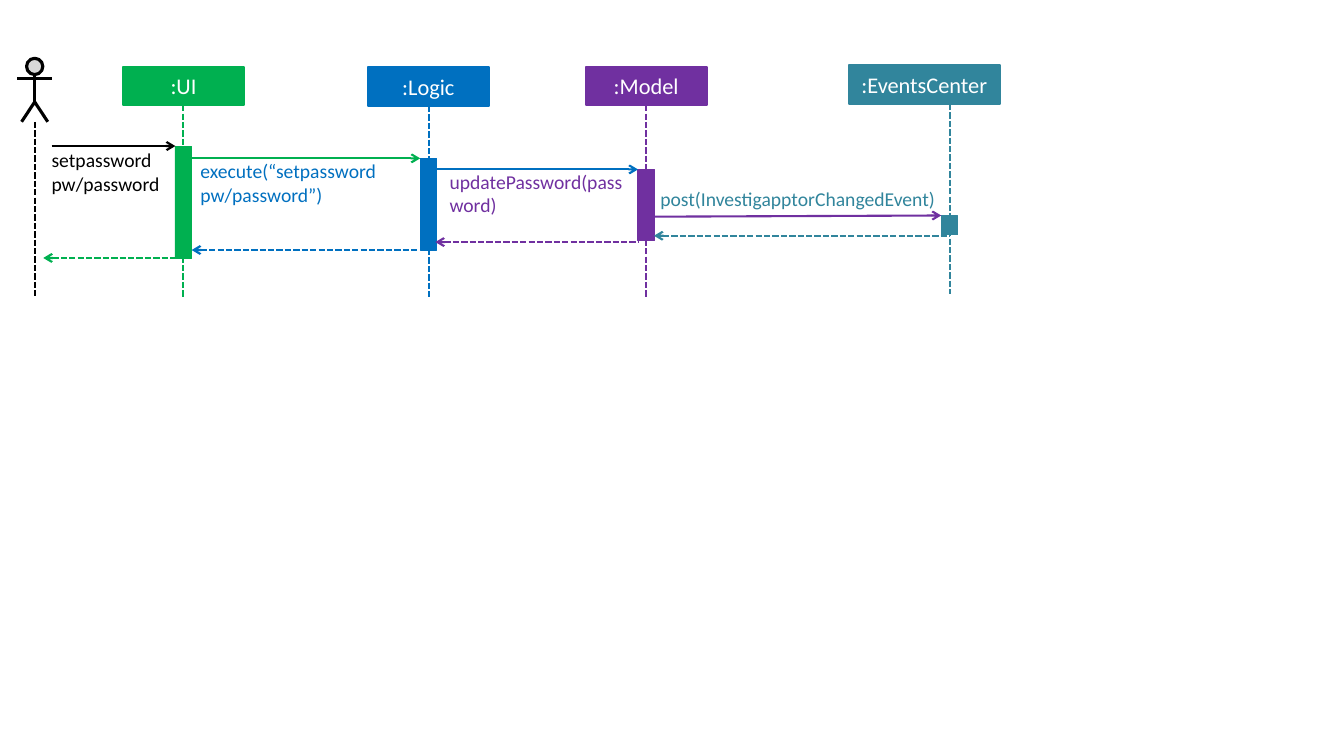
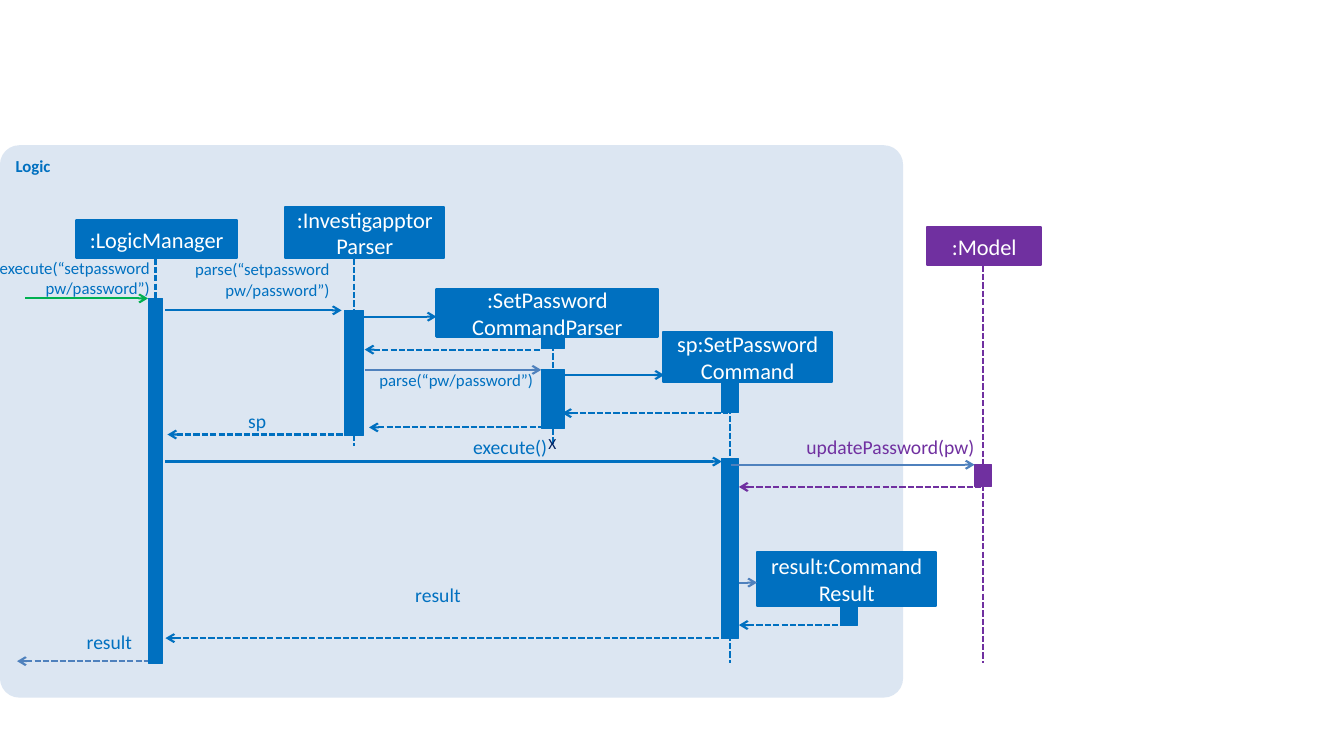
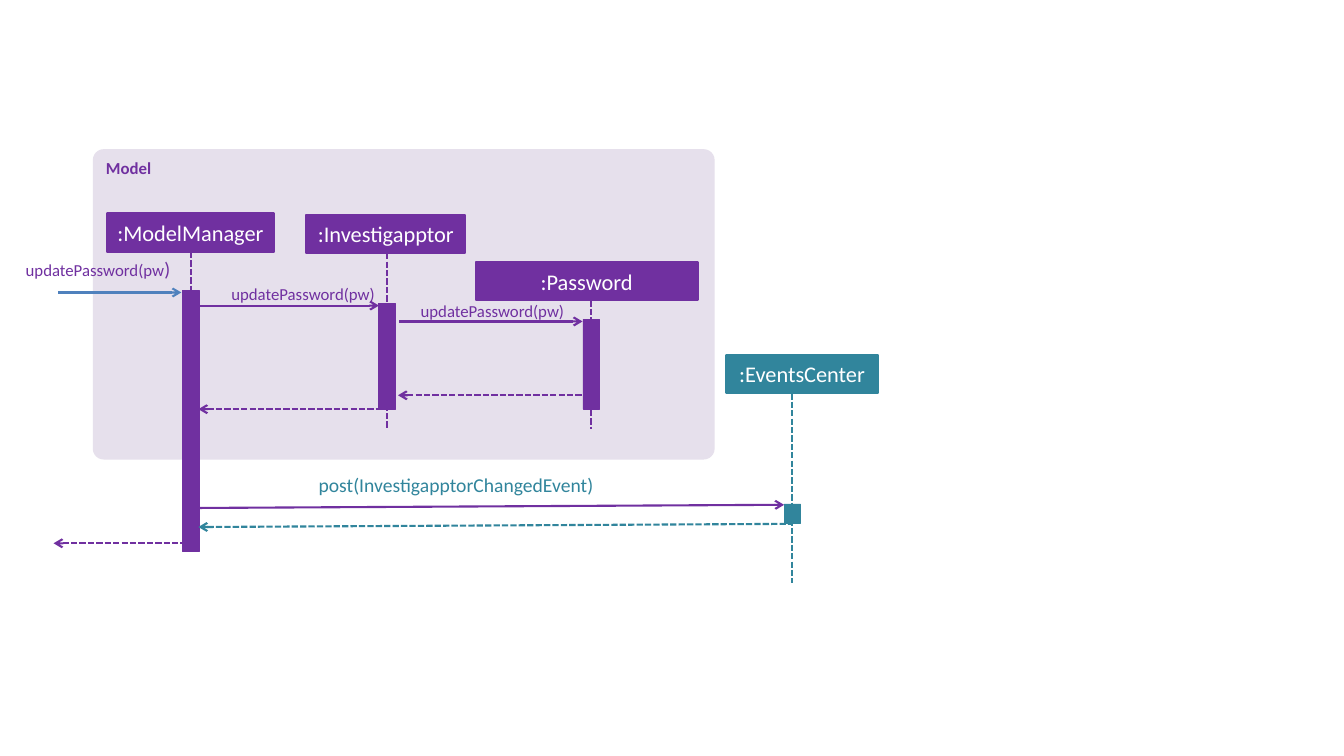
import collections
import pptx
import pptx.dml.color
import pptx.enum.dml
import pptx.enum.shapes
import pptx.enum.text
import pptx.oxml
import pptx.oxml.ns
import pptx.util

Cm = pptx.util.Cm
Pt = pptx.util.Pt
SHAPE = pptx.enum.shapes.MSO_SHAPE
ALIGN = pptx.enum.text.PP_ALIGN
ANCHOR = pptx.enum.text.MSO_ANCHOR

# All boxes are in centimetres
Box = collections.namedtuple("Box", "left top width height")


class Theme:
    font = "Calibri"
    black, white, grey = "000000", "FFFFFF", "D9D9D9"
    ui, logic, model, events = "00B050", "0070C0", "7030A0", "31859C"
    steel, navy = "4F81BD", "002060"
    logic_panel, model_panel = "DCE6F2", "E6E0EC"
    head_size, label_size, small_size, mark_size = 16, 14, 12, 11
    line, bar_line, figure_line = 1.5, 0.5, 2.25
    head_height, bar_width = 0.97, 0.42


def rgb(color):
    return pptx.dml.color.RGBColor.from_string(color)


# Basic parts
def write(frame, lines, size, color, align, bold=False):
    frame.text = lines
    for para in frame.paragraphs:
        para.alignment = align
        para.font.name = Theme.font
        para.font.size = Pt(size)
        para.font.bold = bold
        para.font.color.rgb = rgb(color)


def block(shapes, box, color, kind=SHAPE.RECTANGLE, border=None, width=None):
    shape = shapes.add_shape(kind, *map(Cm, box))
    shape.shadow.inherit = False
    shape.fill.solid()
    shape.fill.fore_color.rgb = rgb(color)
    if width:
        shape.line.color.rgb = rgb(border or color)
        shape.line.width = Pt(width)
    else:
        shape.line.fill.background()
    return shape


def stroke(shapes, start, end, color, width=Theme.line, dashed=False, arrow=None):
    """Draw a line; arrow is None, "headEnd" or "tailEnd"."""
    line = shapes.add_connector(
        pptx.enum.shapes.MSO_CONNECTOR.STRAIGHT, *map(Cm, start + end))
    line.line.color.rgb = rgb(color)
    line.line.width = Pt(width)
    if dashed:
        line.line.dash_style = pptx.enum.dml.MSO_LINE.SQUARE_DOT
    if arrow:
        outline = line.line._get_or_add_ln()
        tip = pptx.oxml.parse_xml(
            f'<a:{arrow} {pptx.oxml.ns.nsdecls("a")} type="arrow"/>')
        outline.append(tip)
    line._element.spPr.append(pptx.oxml.parse_xml(
        f'<a:effectLst {pptx.oxml.ns.nsdecls("a")}/>'))


# Sequence diagram parts
def call(page, left, right, y, color, rise=0):
    stroke(page.shapes, (left, y), (right, y - rise), color, arrow="tailEnd")


def reply(page, left, right, y, color, rise=0):
    stroke(page.shapes, (left, y), (right, y - rise), color,
           dashed=True, arrow="headEnd")


def label(page, left, top, width, text, color, size=Theme.label_size,
          align=ALIGN.RIGHT, rows=None):
    rows = rows or text.count("\n") + 1
    height = rows * size * 0.043
    frame = page.shapes.add_textbox(*map(Cm, (left, top, width, height))).text_frame
    frame.margin_left = frame.margin_right = frame.margin_top = frame.margin_bottom = 0
    frame.word_wrap = True
    frame.auto_size = pptx.enum.text.MSO_AUTO_SIZE.SHAPE_TO_FIT_TEXT
    write(frame, text, size, color, align)
    return frame


def participant(page, box, name, color, axis, end, bars, bar_width=Theme.bar_width):
    """Draw a head, its lifeline down to end, and bars of (top, height)."""
    head = block(page.shapes, box, color, width=Theme.line)
    head.text_frame.word_wrap = True
    head.text_frame.vertical_anchor = ANCHOR.MIDDLE
    write(head.text_frame, name, Theme.head_size, Theme.white, ALIGN.CENTER)
    if end:
        stroke(page.shapes, (axis, box.top + box.height), (axis, end), color,
               dashed=True)
    for top, height in bars:
        block(page.shapes, Box(axis - bar_width / 2, top, bar_width, height),
              color, width=Theme.bar_line)


def panel(page, box, name, fill, color):
    shape = block(page.shapes, box, fill, SHAPE.ROUNDED_RECTANGLE)
    shape.adjustments[0] = 0.035
    shape.text_frame.vertical_anchor = ANCHOR.TOP
    write(shape.text_frame, name, Theme.small_size, color, ALIGN.LEFT, bold=True)


def actor(page, box, end):
    figure = page.shapes.add_group_shape().shapes
    axis, foot = box.left + box.width / 2, box.top + box.height
    head, hip, spread = 0.41, box.top + 1.1, 0.33
    pen = (Theme.black, Theme.figure_line)
    block(figure, Box(axis - head / 2, box.top, head, head), Theme.grey,
          SHAPE.FLOWCHART_CONNECTOR, Theme.black, Theme.figure_line)
    stroke(figure, (axis, box.top + head), (axis, hip), *pen)
    arms = box.top + 0.51
    stroke(figure, (box.left, arms), (box.left + box.width, arms), *pen)
    # Legs
    outline = figure.build_freeform(Cm(axis - spread), Cm(foot))
    outline.add_line_segments(
        [(Cm(axis), Cm(hip)), (Cm(axis + spread), Cm(foot))], close=False)
    legs = outline.convert_to_shape()
    legs.shadow.inherit = False
    legs.fill.background()
    legs.line.color.rgb = rgb(Theme.black)
    legs.line.width = Pt(Theme.figure_line)
    stroke(page.shapes, (axis, foot), (axis, end), Theme.black, dashed=True)


# Slides
def components_slide(page):
    ui, logic, model, events = Theme.ui, Theme.logic, Theme.model, Theme.events
    end = 7.49
    actor(page, Box(0.43, 1.47, 0.89, 1.6), end)
    for left, top, width, name, color, axis, bottom, bar in (
            (3.1, 1.68, 3.05, ":UI", ui, 4.62, end, (3.68, 2.84)),
            (9.27, 1.7, 3.05, ":Logic", logic, 10.8, end, (3.99, 2.31)),
            (14.76, 1.68, 3.05, ":Model", model, 16.28, end, (4.27, 1.8)),
            (21.39, 1.65, 3.81, ":EventsCenter", events, 23.93, 7.42, (5.44, 0.48))):
        participant(page, Box(left, top, width, Theme.head_height), name, color,
                    axis, bottom, [bar])

    call(page, 1.3, 4.42, 3.68, Theme.black)
    call(page, 4.83, 10.59, 3.99, ui)
    call(page, 10.97, 16.08, 4.27, logic)
    call(page, 16.51, 23.72, 5.46, model, rise=0.03)
    reply(page, 16.48, 23.93, 5.94, events)
    reply(page, 10.97, 16.08, 6.1, model)
    reply(page, 4.83, 10.54, 6.3, logic)
    reply(page, 1.09, 4.42, 6.5, ui)

    for left, top, width, text, color, rows in (
            (1.3, 3.73, 3.1, "setpassword\npw/password", Theme.black, 2),
            (5.05, 4.01, 5.28, "execute(“setpassword\npw/password”)", logic, 2),
            (11.33, 4.27, 4.5, "updatePassword(password)", model, 2),
            (16.64, 4.7, 7.06, "post(InvestigapptorChangedEvent)", events, 1)):
        label(page, left, top, width, text, color, align=ALIGN.LEFT, rows=rows)


def logic_slide(page):
    blue, purple, steel = Theme.logic, Theme.model, Theme.steel
    small, end = Theme.small_size, 16.71
    panel(page, Box(0, 3.66, 22.76, 13.92), "Logic", Theme.logic_panel, blue)
    for box, name, color, axis, bottom, bars, bar_width in (
            (Box(1.93, 5.54, 4.04, Theme.head_height), ":LogicManager", blue,
             3.92, 13.77, [(7.52, 9.19)], 0.36),
            (Box(7.19, 5.21, 4.01, 1.3), ":InvestigapptorParser", blue,
             8.92, 11.25, [(7.82, 3.15)], 0.48),
            (Box(11, 7.29, 5.59, 1.19), ":SetPassword\nCommandParser", blue,
             13.93, 11.23, [(8.46, 0.33), (9.32, 1.47)], 0.58),
            (Box(16.71, 8.36, 4.27, 1.27), "sp:SetPasswordCommand", blue,
             18.39, end, [(9.63, 0.76), (11.56, 4.52)], Theme.bar_width),
            (Box(19.08, 13.92, 4.52, 1.35), "result:CommandResult", blue,
             21.4, None, [(15.27, 0.48)], Theme.bar_width),
            (Box(23.37, 5.72, 2.87, Theme.head_height), ":Model", purple,
             24.77, end, [(11.71, 0.56)], Theme.bar_width)):
        participant(page, box, name, color, axis, bottom, bars, bar_width)

    for left, right, y, color in (
            (0.64, 3.73, 7.52, Theme.ui), (4.17, 8.61, 7.82, blue),
            (9.07, 11, 7.98, blue), (9.19, 13.64, 9.32, steel),
            (14.17, 16.74, 9.45, blue), (4.17, 18.19, 11.63, blue),
            (18.42, 24.56, 11.71, steel), (18.62, 19.08, 14.68, steel)):
        call(page, left, right, y, color)
    for left, right, y, color in (
            (9.19, 13.64, 8.81, blue), (14.17, 18.34, 10.41, blue),
            (9.3, 13.92, 10.77, blue), (4.22, 8.66, 10.95, blue),
            (18.62, 24.77, 12.27, purple), (18.62, 21.31, 15.75, blue),
            (4.17, 18.21, 16.08, blue), (0.43, 3.73, 16.66, steel)):
        reply(page, left, right, y, color)

    for left, top, width, text in (
            (-1.5, 6.5, 5.28, "execute(“setpassword\npw/password”)"),
            (3.53, 6.53, 4.78, "parse(“setpassword\npw/password”)"),
            (9.5, 9.32, 3.94, "parse(“pw/password”)")):
        label(page, left, top, width, text, blue, small)
    for left, top, width, text, color in (
            (6.1, 10.31, 0.61, "sp", blue),
            (11.4, 10.97, 2.39, "execute()", blue),
            (20.14, 10.97, 4.42, "updatePassword(pw)", purple),
            (9.88, 14.68, 1.73, "result", blue),
            (1.22, 15.88, 2.11, "result", blue)):
        label(page, left, top, width, text, color)
    # End of the parser's life
    label(page, 13.82, 10.95, 0.3, "X", Theme.navy, Theme.mark_size, ALIGN.LEFT)


def model_slide(page):
    purple, teal, small = Theme.model, Theme.events, Theme.small_size
    end = 10.8
    panel(page, Box(2.34, 3.76, 15.67, 7.82), "Model", Theme.model_panel, purple)
    for left, top, width, name, color, axis, bottom, bar in (
            (2.69, 5.38, 4.22, ":ModelManager", purple, 4.81, end, (7.32, 6.58)),
            (7.72, 5.41, 4.01, ":Investigapptor", purple, 9.75, end, (7.65, 2.67)),
            (11.99, 6.6, 5.59, ":Password", purple, 14.9, end, (8.05, 2.26)),
            (18.31, 8.94, 3.81, ":EventsCenter", teal, 19.97, 14.68, (12.7, 0.48))):
        participant(page, Box(left, top, width, Theme.head_height), name, color,
                    axis, bottom, [bar])

    call(page, 1.47, 4.57, 7.37, Theme.steel)
    call(page, 5, 9.55, 7.7, purple)
    call(page, 10.06, 14.68, 8.1, purple)
    call(page, 5, 19.76, 12.8, purple, rise=0.08)
    reply(page, 10.03, 14.68, 9.96, purple)
    reply(page, 5, 9.55, 10.31, purple)
    reply(page, 5, 19.96, 13.28, teal, rise=0.08)
    reply(page, 1.35, 4.67, 13.69, purple)

    # The closing bracket of the incoming call is larger
    incoming = label(page, -0.13, 6.48, 4.42, "updatePassword(pw", purple, small)
    span = incoming.paragraphs[0].add_run()
    span.text = ")"
    span.font.size = Pt(Theme.label_size)
    label(page, 4.67, 7.16, 4.78, "updatePassword(pw)", purple, small)
    label(page, 10.31, 7.57, 3.91, "updatePassword(pw)", purple, small)
    label(page, 8.03, 11.91, 7.06, "post(InvestigapptorChangedEvent)", teal,
          align=ALIGN.LEFT)


deck = pptx.Presentation()
deck.slide_width, deck.slide_height = Cm(33.87), Cm(19.05)
blank = deck.slide_layouts[6]
for build in (components_slide, logic_slide, model_slide):
    build(deck.slides.add_slide(blank))
deck.save("out.pptx")
